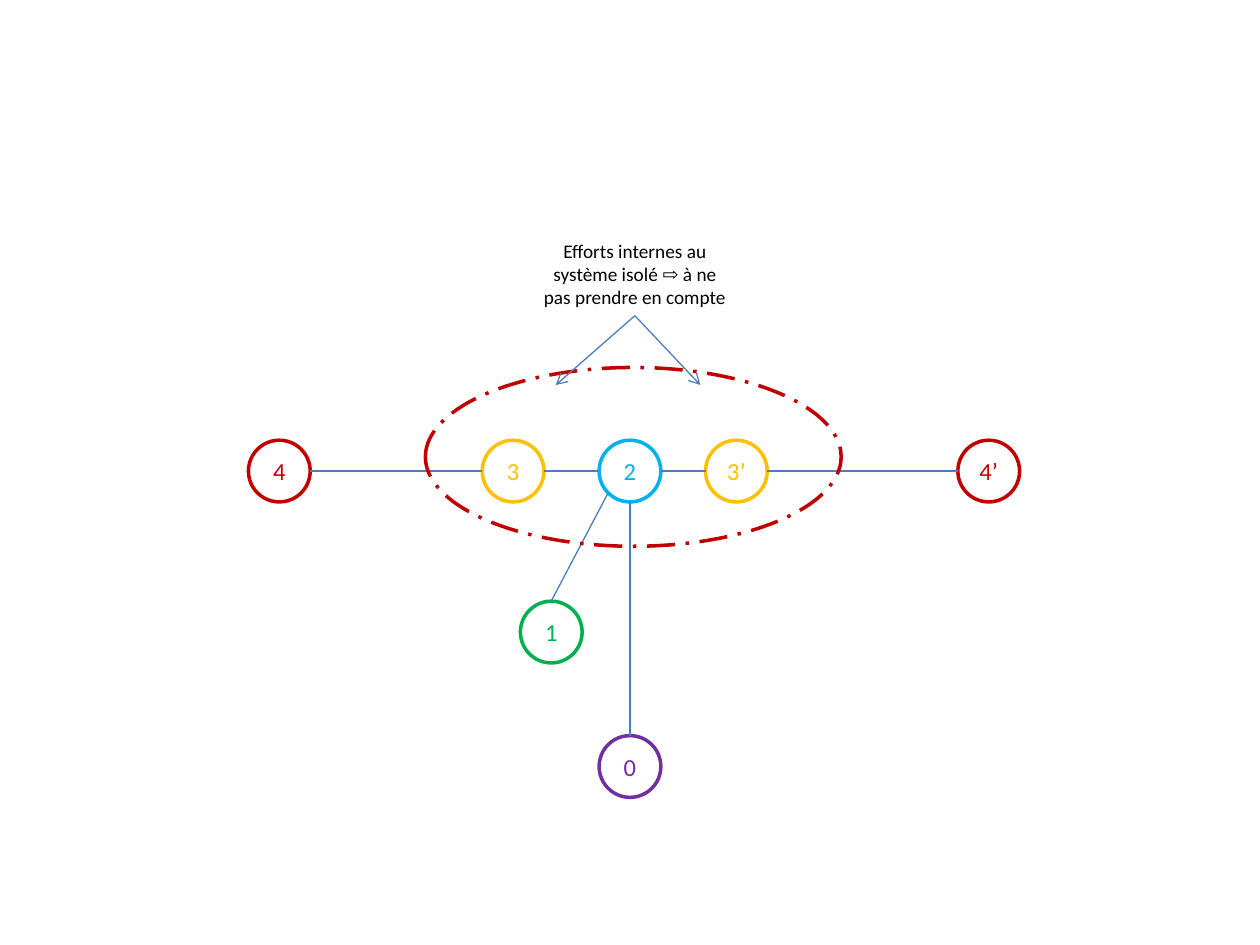
import math

from lxml import etree
from pptx import Presentation
from pptx.dml.color import RGBColor
from pptx.enum import dml, shapes, text
from pptx.oxml.ns import qn
from pptx.util import Pt

PURPLE = RGBColor(0x70, 0x30, 0xA0)
GREEN = RGBColor(0x00, 0xB0, 0x50)
CYAN = RGBColor(0x00, 0xB0, 0xF0)
AMBER = RGBColor(0xFF, 0xC0, 0x00)
RED = RGBColor(0xC0, 0x00, 0x00)
BLUE = RGBColor(0x4B, 0x7E, 0xBC)
BLACK = RGBColor(0, 0, 0)

DIAMETER = 35.3
RADIUS = DIAMETER / 2
AXIS_Y = 269.2

# Solid number: (centre x, centre y, colour)
SOLIDS = {
    "0": (360, 438, PURPLE),
    "1": (315, 361.2, GREEN),
    "2": (360, AXIS_Y, CYAN),
    "3": (293.2, AXIS_Y, AMBER),
    "4": (159.6, AXIS_Y, RED),
    "4’": (565, AXIS_Y, RED),
    "3’": (420.8, AXIS_Y, AMBER),
}
# Links: solid and angle of its anchor in degrees (clockwise from the right), twice
LINKS = [
    ("2", 135, "1", 270),
    ("2", 180, "3", 0),
    ("2", 0, "3’", 180),
    ("4", 0, "3", 180),
    ("4’", 180, "3’", 0),
    ("2", 90, "0", 270),
]
ISOLATED_SYSTEM = (243.1, 210, 237.6, 102.2)
NOTE_BOX = (303, 133, 119.6, 47.4)
NOTE = [
    ("Efforts internes au système isolé ", "Calibri"),
    ("⇨", "Cambria"),
    (" à ne pas prendre en compte", "Calibri"),
]
NOTE_TIP = (362.8, 180.4)
ARROW_ENDS = [(317.6, 220), (400.2, 220)]


def add_text(para, words, size, color, name="Calibri"):
    para.alignment = text.PP_ALIGN.CENTER
    span = para.add_run()
    span.text = words
    for key, value in {"size": Pt(size), "name": name}.items():
        setattr(span.font, key, value)
    span.font.color.rgb = color


def add_ellipse(page, bounds, color):
    oval = page.shapes.add_shape(shapes.MSO_SHAPE.OVAL, *map(Pt, bounds))
    oval.shadow.inherit = False
    oval.fill.background()
    oval.line.color.rgb = color
    oval.line.width = Pt(2)
    return oval


def add_line(page, start, end, arrow=False):
    line = page.shapes.add_connector(
        shapes.MSO_CONNECTOR.STRAIGHT, *map(Pt, (*start, *end)))
    line.line.color.rgb = BLUE
    line.line.width = Pt(0.75)
    if arrow:
        etree.SubElement(line.line._get_or_add_ln(), qn("a:tailEnd"), type="arrow")
    etree.SubElement(line._element.spPr, qn("a:effectLst"))


def anchor(solid, degrees):
    """Point on the solid's circle at the given angle."""
    x, y, _ = SOLIDS[solid]
    angle = math.radians(degrees)
    return x + RADIUS * math.cos(angle), y + RADIUS * math.sin(angle)


def set_frame(frame, **values):
    for key, value in values.items():
        setattr(frame, key, value)


def main():
    deck = Presentation()
    deck.slide_width, deck.slide_height = Pt(720), Pt(540)
    page = deck.slides.add_slide(deck.slide_layouts[6])

    for label, (x, y, color) in SOLIDS.items():
        circle = add_ellipse(
            page, (x - RADIUS, y - RADIUS, DIAMETER, DIAMETER), color)
        set_frame(circle.text_frame, margin_left=0, margin_right=0,
                  margin_top=0, margin_bottom=0,
                  vertical_anchor=text.MSO_ANCHOR.MIDDLE)
        add_text(circle.text_frame.paragraphs[0], label, 14, color)

    for first, first_angle, second, second_angle in LINKS:
        add_line(page, anchor(first, first_angle), anchor(second, second_angle))

    system = add_ellipse(page, ISOLATED_SYSTEM, RED)
    system.line.dash_style = dml.MSO_LINE.LONG_DASH_DOT

    note = page.shapes.add_textbox(*map(Pt, NOTE_BOX))
    set_frame(note.text_frame, word_wrap=True,
              auto_size=text.MSO_AUTO_SIZE.SHAPE_TO_FIT_TEXT)
    for words, font_name in NOTE:
        add_text(note.text_frame.paragraphs[0], words, 11, BLACK, font_name)

    for end in ARROW_ENDS:
        add_line(page, NOTE_TIP, end, arrow=True)

    deck.save("out.pptx")


if __name__ == "__main__":
    main()
